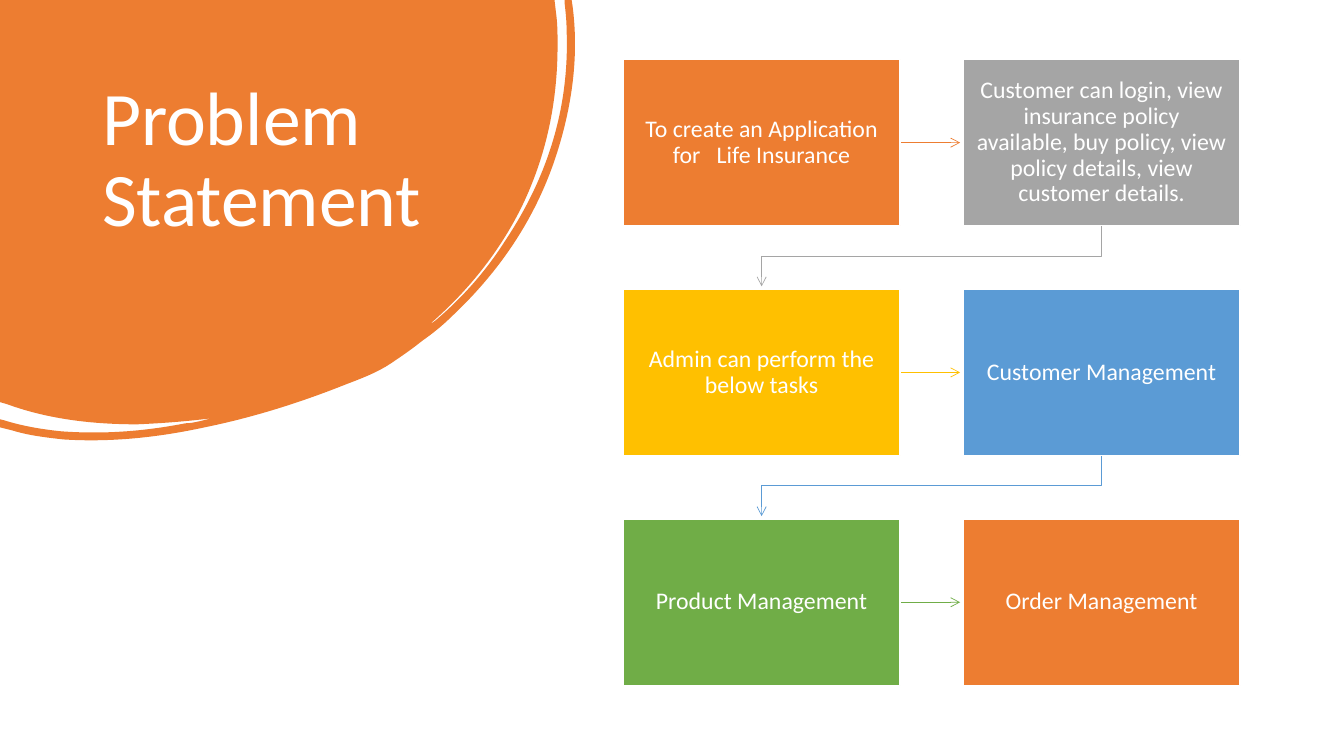
import pptx
import pptx.util
import pptx.dml.color
import pptx.enum.shapes
import pptx.enum.text
import pptx.oxml

WIDE, HIGH = 13.33, 7.5
UNIT = 1000
SPACE = 'xmlns:a="http://schemas.openxmlformats.org/drawingml/2006/main"'
HUES = {
    "orange": "ED7D31",
    "gray": "A5A5A5",
    "gold": "FFC000",
    "blue": "5B9BD5",
    "green": "70AD47",
    "white": "FFFFFF",
}
STEPS = [
    ("To create an Application for   Life Insurance", "orange"),
    ("Customer can login, view insurance policy available, buy policy, "
     "view policy details, view customer details.", "gray"),
    ("Admin can perform the below tasks", "gold"),
    ("Customer Management", "blue"),
    ("Product Management", "green"),
    ("Order Management", "orange"),
]
EDGE = [
    (5.5, 0), (5.52, 0.17),
    (5.53, 0.26, 5.53, 0.36, 5.53, 0.45),
    (5.53, 1.01, 5.42, 1.54, 5.18, 2.04),
    (4.96, 2.49, 4.65, 2.88, 4.27, 3.21),
    (4.29, 3.21, 4.3, 3.19, 4.32, 3.18),
    (4.59, 2.95, 4.82, 2.69, 5.01, 2.39),
    (5.43, 1.76, 5.65, 1.07, 5.62, 0.3),
    (5.62, 0.21, 5.61, 0.12, 5.6, 0.03),
    (5.6, 0), (5.67, 0), (5.68, 0.07),
    (5.74, 0.54, 5.68, 1.02, 5.53, 1.5),
    (5.33, 2.14, 4.97, 2.68, 4.48, 3.14),
    (4.39, 3.23, 4.29, 3.31, 4.19, 3.38),
    (4.09, 3.46, 3.99, 3.53, 3.87, 3.61),
    (3.75, 3.69, 3.6, 3.75, 3.44, 3.81),
    (2.99, 3.99, 2.52, 4.14, 2.03, 4.24),
    (1.57, 4.34, 1.1, 4.39, 0.63, 4.36),
    (0.45, 4.34, 0.28, 4.32, 0.12, 4.27),
    (0, 4.24), (0, 4.16), (0.04, 4.17),
    (0.23, 4.23, 0.42, 4.26, 0.61, 4.28),
    (1.03, 4.31, 1.43, 4.28, 1.84, 4.2),
    (1.89, 4.2, 1.93, 4.19, 1.98, 4.18),
    (2.02, 4.17, 2.06, 4.16, 2.1, 4.15),
    (1.86, 4.18, 1.61, 4.2, 1.36, 4.21),
    (0.92, 4.21, 0.48, 4.16, 0.07, 4.01),
    (0, 3.99),
]
inch = pptx.util.Inches


def tint(name):
    return pptx.dml.color.RGBColor.from_string(HUES[name])


def paint(shape, fill, line=None):
    shape.shadow.inherit = False
    shape.fill.solid()
    shape.fill.fore_color.rgb = tint(fill)
    if line:
        shape.line.color.rgb = tint(line)
        shape.line.width = pptx.util.Pt(1)
    else:
        shape.line.fill.background()


def write(shape, text, size=17, align="CENTER", anchor="MIDDLE", pad=(0.13, 0.14)):
    frame = shape.text_frame
    frame.word_wrap = True
    frame.vertical_anchor = getattr(pptx.enum.text.MSO_ANCHOR, anchor)
    frame.margin_left = frame.margin_right = inch(pad[0])
    frame.margin_top = frame.margin_bottom = inch(pad[1])
    para = frame.paragraphs[0]
    para.alignment = getattr(pptx.enum.text.PP_ALIGN, align)
    para.line_spacing = 0.9
    run = para.add_run()
    run.text = text
    run.font.size = pptx.util.Pt(size)
    run.font.name = "Calibri"
    run.font.color.rgb = tint("white")


def blob(slide, left, top, wide):
    pen = slide.shapes.build_freeform(0, 0, scale=inch(wide) / 5.71 / UNIT)
    ends = [(item[-2] * UNIT, item[-1] * UNIT) for item in EDGE]
    pen.add_line_segments(ends, close=True)
    shape = pen.convert_to_shape(inch(left), inch(top))
    for item, node in zip(EDGE, shape._element.xpath(".//a:lnTo")):
        if len(item) == 6:
            dots = "".join(f'<a:pt x="{round(x * UNIT)}" y="{round(y * UNIT)}"/>'
                           for x, y in zip(item[::2], item[1::2]))
            curve = pptx.oxml.parse_xml(f"<a:cubicBezTo {SPACE}>{dots}</a:cubicBezTo>")
            node.getparent().replace(node, curve)
    paint(shape, "orange")


def arrow(slide, start, end, hue, bent=False):
    kinds = pptx.enum.shapes.MSO_CONNECTOR
    (x1, y1), (x2, y2) = start, end
    if bent:
        midx, midy = (x1 + x2) / 2, (y1 + y2) / 2
        halfx, halfy = (y2 - y1) / 2, (x1 - x2) / 2
        x1, y1, x2, y2 = midx - halfx, midy - halfy, midx + halfx, midy + halfy
    link = slide.shapes.add_connector(kinds.ELBOW if bent else kinds.STRAIGHT,
                                      *map(inch, (x1, y1, x2, y2)))
    props = link._element.spPr
    if bent:
        props.xfrm.set("rot", "5400000")
    link.line.color.rgb = tint(hue)
    link.line.width = pptx.util.Pt(0.5)
    link.line._get_or_add_ln().append(
        pptx.oxml.parse_xml(f'<a:tailEnd {SPACE} type="arrow"/>'))
    props.append(pptx.oxml.parse_xml(f"<a:effectLst {SPACE}/>"))


def banner(slide, left, top, wide, high):
    blob(slide, left, top, wide)
    title = slide.shapes.add_textbox(
        *map(inch, (left + 0.16 * wide, top + 0.17 * high, 0.62 * wide, 0.51 * high)))
    write(title, "Problem Statement", size=54, align="LEFT", anchor="TOP", pad=(0.1, 0.05))


def flow(slide, left, top, wide, high, cols=2, rows=3):
    cellw, cellh = 0.449 * wide, 0.2657 * high
    stepx = (wide - cellw) / (cols - 1)
    stepy = (high - cellh) / (rows - 1)
    gap = 0.03
    for order, (text, hue) in enumerate(STEPS):
        row, col = divmod(order, cols)
        x, y = left + col * stepx, top + row * stepy
        if col < cols - 1:
            mid = y + cellh / 2
            arrow(slide, (x + cellw, mid), (x + stepx - gap, mid), hue)
        elif row < rows - 1:
            arrow(slide, (x + cellw / 2, y + cellh),
                  (left + cellw / 2, y + stepy - gap), hue, bent=True)
        card = slide.shapes.add_shape(pptx.enum.shapes.MSO_SHAPE.RECTANGLE,
                                      *map(inch, (x, y, cellw, cellh)))
        paint(card, hue, "white")
        write(card, text)


def main():
    deck = pptx.Presentation()
    deck.slide_width, deck.slide_height = inch(WIDE), inch(HIGH)
    slide = deck.slides.add_slide(deck.slide_layouts[6])
    banner(slide, 0, 0, 5.71, 4.37)
    flow(slide, 6.18, 0.59, 6.12, 6.21)
    deck.save("out.pptx")


if __name__ == "__main__":
    main()
